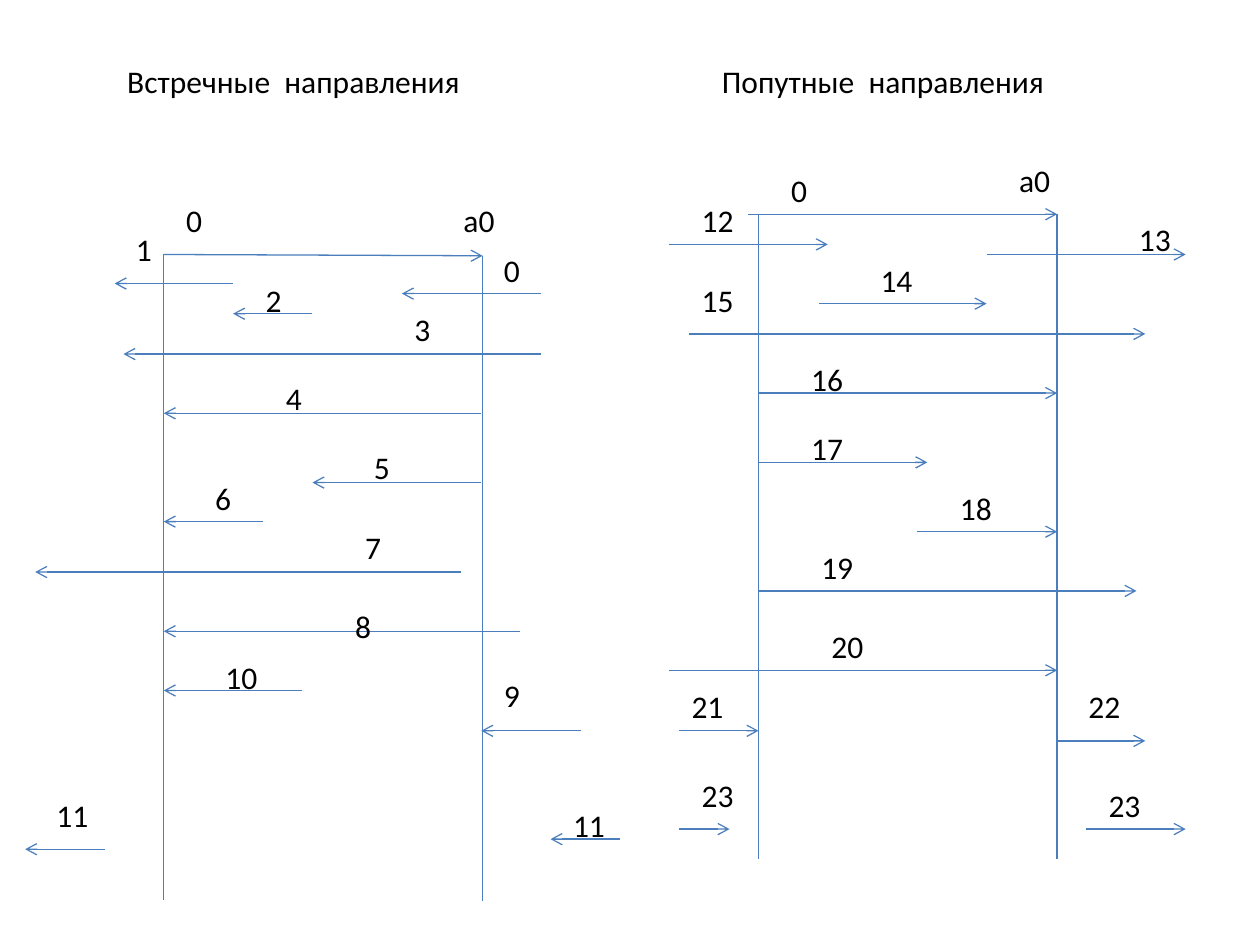
from pptx import Presentation
from pptx import util as u
from pptx.dml.color import RGBColor
from pptx.enum import shapes, text
from pptx.oxml.ns import qn
from lxml import etree

BLUE = RGBColor(0x4B, 0x7E, 0xBC)
BLACK = RGBColor(0, 0, 0)
FONT = "Calibri"

HEADS = [
    (1, "Встречные  направления", 0.91, 3.07),
    (3, "Попутные  направления", 5.63, 2.79),
]
BOUNDS = [
    (1.3, 2.02, 7.14),
    (3.83, 2.03, 7.15),
    (6.02, 1.7, 6.82),
    (8.39, 1.7, 6.82),
]
AXES = [
    (1.3, 2.02, 3.83, 2.03),
    (5.94, 1.7, 8.39, 1.7),
]
ENDS = [
    ("0", 1.38, 1.55),
    ("a0", 3.58, 1.55),
    ("0", 6.18, 1.31),
    ("a0", 7.99, 1.23),
]
MOVES = [
    ("0", 3.9, 1.94, 4.29, 3.19, 2.33),
    ("1", 0.98, 1.78, 1.85, 0.91, 2.25),
    ("2", 2.01, 2.18, 2.48, 1.85, 2.49),
    ("3", 3.19, 2.41, 4.29, 0.98, 2.81),
    ("4", 2.17, 2.96, 3.82, 1.3, 3.28),
    ("5", 2.87, 3.51, 3.82, 2.48, 3.83),
    ("6", 1.61, 3.75, 2.09, 1.3, 4.14),
    ("7", 2.8, 4.14, 3.66, 0.28, 4.54),
    ("8", 2.72, 4.77, 4.13, 1.3, 5.01),
    ("9", 3.9, 5.32, 4.61, 3.82, 5.8),
    ("10", 1.69, 5.17, 2.4, 1.3, 5.48),
    ("11", 4.45, 6.35, 4.92, 4.37, 6.66),
    ("11", 0.35, 6.27, 0.83, 0.2, 6.74),
    ("12", 5.47, 1.55, 5.31, 6.57, 1.94),
    ("13", 8.94, 1.7, 7.83, 9.41, 2.02),
    ("14", 6.89, 2.02, 6.5, 7.83, 2.41),
    ("15", 5.47, 2.18, 5.47, 9.09, 2.65),
    ("16", 6.34, 2.81, 6.02, 8.39, 3.12),
    ("17", 6.34, 3.36, 6.02, 7.36, 3.67),
    ("18", 7.52, 3.83, 7.28, 8.39, 4.22),
    ("19", 6.42, 4.3, 6.02, 9.02, 4.69),
    ("20", 6.5, 4.93, 5.31, 8.39, 5.32),
    ("21", 5.39, 5.4, 5.39, 6.02, 5.8),
    ("22", 8.54, 5.4, 8.39, 9.09, 5.88),
    ("23", 5.47, 6.11, 5.39, 5.79, 6.58),
    ("23", 8.7, 6.19, 8.62, 9.41, 6.58),
]


class Board:
    size = u.Pt(18)
    weight = u.Pt(0.75)
    high = u.Inches(0.4)

    def __init__(self, slide):
        self.slide = slide

    def style(self, frame, words, wrap):
        frame.text = words
        frame.word_wrap = wrap
        frame.auto_size = text.MSO_AUTO_SIZE.SHAPE_TO_FIT_TEXT
        frame.vertical_anchor = text.MSO_ANCHOR.TOP
        para = frame.paragraphs[0]
        para.space_before = u.Pt(0)
        font = para.runs[0].font
        font.name, font.size, font.bold = FONT, self.size, False
        font.color.rgb = BLACK

    def head(self, slot, words, left, wide):
        box = self.slide.placeholders[slot]
        box.left, box.top = u.Inches(left), u.Inches(0.44)
        box.width, box.height = u.Inches(wide), self.high
        self.style(box.text_frame, words, True)

    def label(self, words, left, top):
        wide = u.Inches(0.2 + 0.13 * len(words))
        box = self.slide.shapes.add_textbox(
            u.Inches(left), u.Inches(top), wide, self.high)
        self.style(box.text_frame, words, False)

    def line(self, *ends):
        link = self.slide.shapes.add_connector(
            shapes.MSO_CONNECTOR.STRAIGHT, *map(u.Inches, ends))
        link.line.color.rgb = BLUE
        link.line.width = self.weight
        etree.SubElement(link._element.spPr, qn("a:effectLst"))
        return link

    def arrow(self, *ends):
        link = self.line(*ends)
        etree.SubElement(link.line._get_or_add_ln(), qn("a:tailEnd"), type="arrow")

    def clear(self):
        for box in list(self.slide.placeholders):
            if not box.text_frame.text:
                box._element.getparent().remove(box._element)


def main():
    deck = Presentation()
    deck.slide_width, deck.slide_height = u.Inches(10), u.Inches(7.5)
    board = Board(deck.slides.add_slide(deck.slide_layouts[4]))
    for head in HEADS:
        board.head(*head)
    board.clear()
    for x, top, base in BOUNDS:
        board.line(x, top, x, base)
    for axis in AXES:
        board.arrow(*axis)
    for end in ENDS:
        board.label(*end)
    for words, left, top, start, stop, y in MOVES:
        board.arrow(start, y, stop, y)
        board.label(words, left, top)
    deck.save("out.pptx")


if __name__ == "__main__":
    main()
